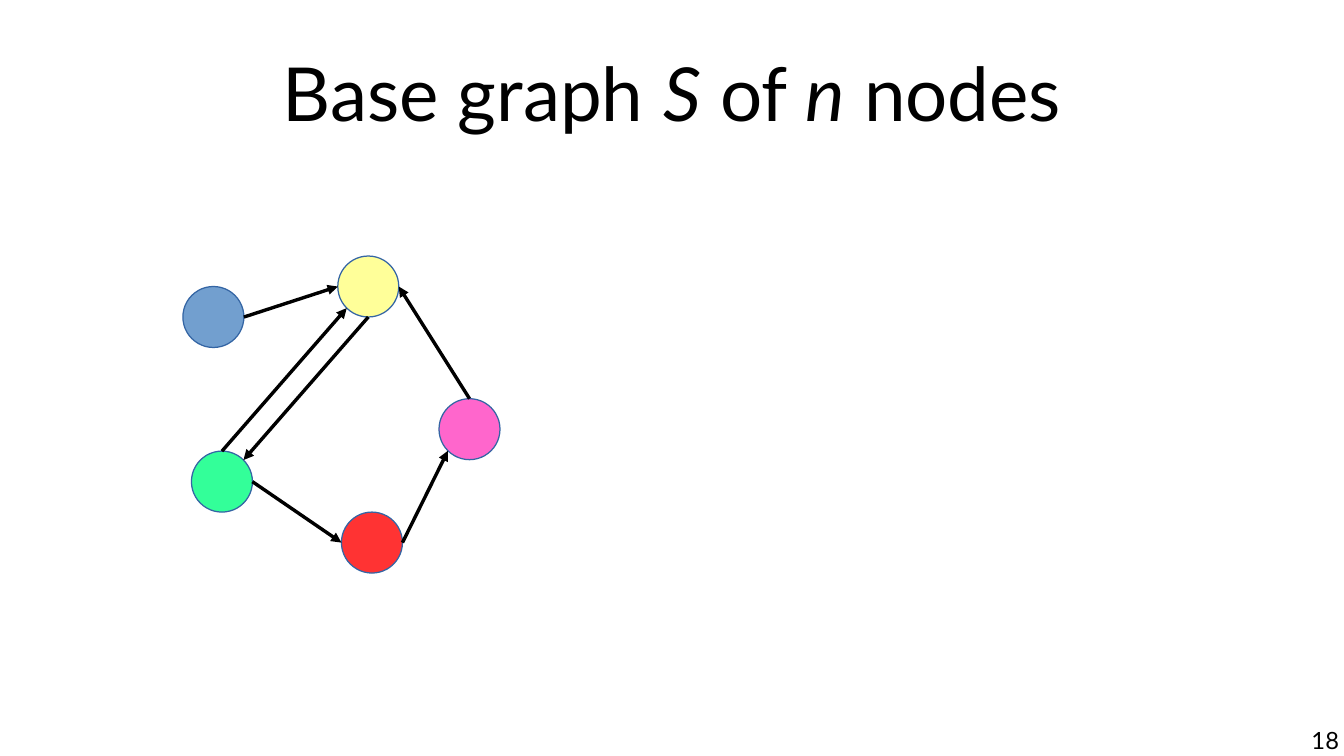
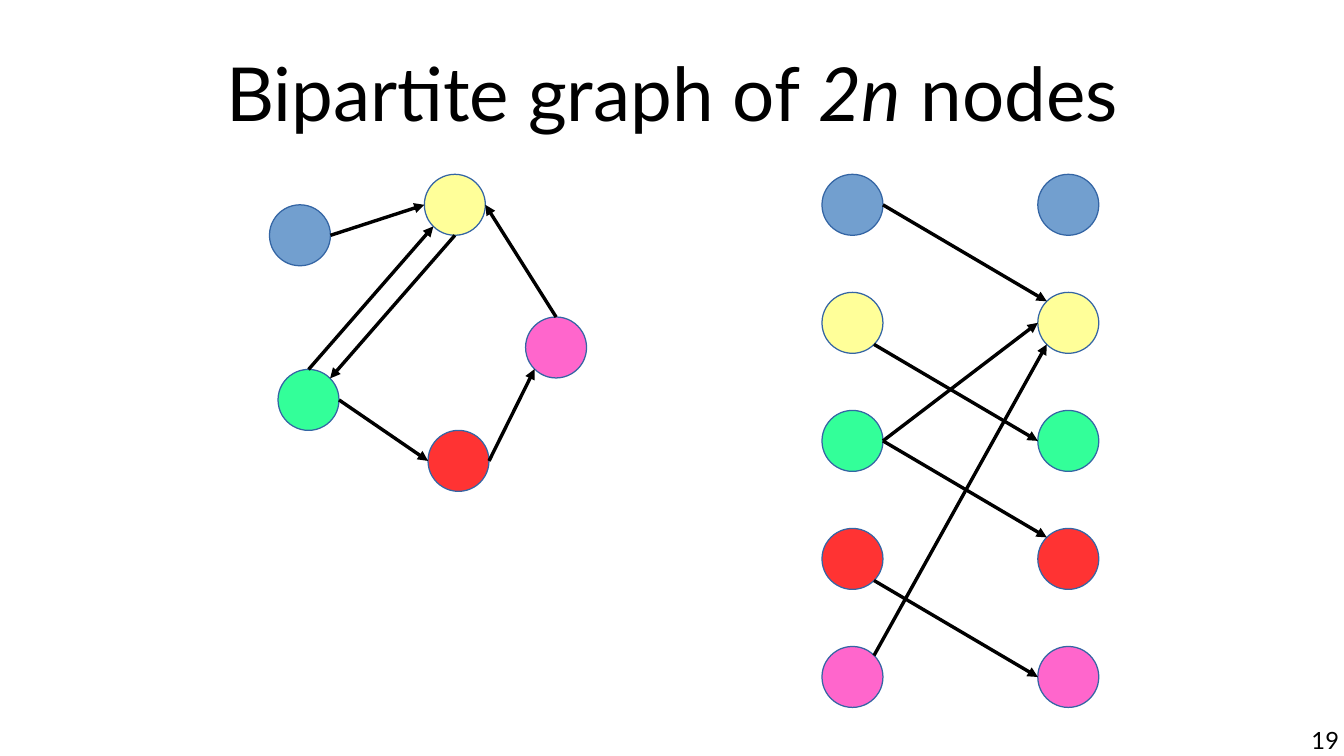
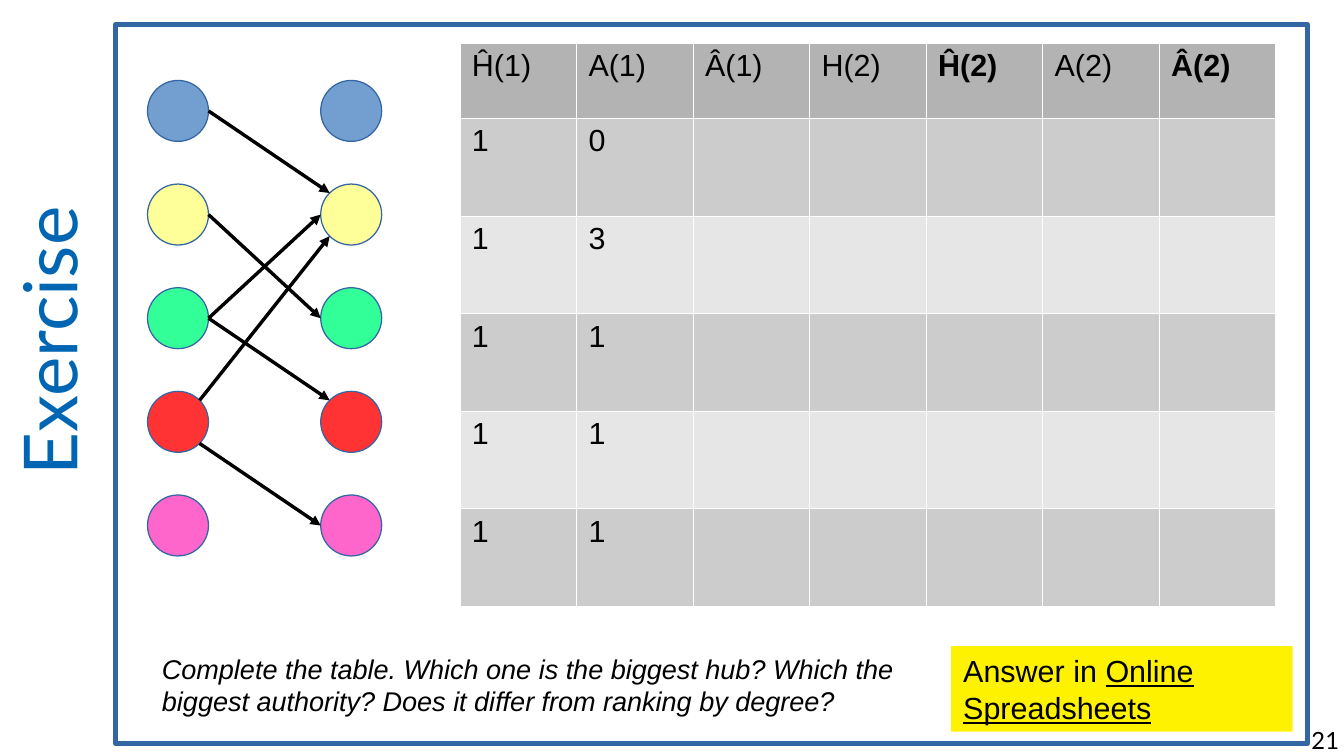
from math import sqrt

from lxml.etree import SubElement as Sub
from pptx import Presentation
from pptx.dml.color import RGBColor
from pptx.enum.shapes import MSO_CONNECTOR as Link, MSO_SHAPE as Kind
from pptx.enum.text import MSO_ANCHOR as Anchor, PP_ALIGN as Align
from pptx.oxml.ns import qn
from pptx.util import Inches, Pt

NODES = {"blue": "729FCF", "yellow": "FFFF99", "green": "33FF99",
         "red": "FF3333", "pink": "FF66CC"}
SIZE = 5
HALF = SIZE / 2
DIAG = HALF / sqrt(2)
SIDES = {"n": (0, -HALF), "s": (0, HALF), "w": (-HALF, 0), "e": (HALF, 0),
         "nw": (-DIAG, -DIAG), "ne": (DIAG, -DIAG),
         "sw": (-DIAG, DIAG), "se": (DIAG, DIAG)}


def cell(count):
    return Inches(count / 10)


def paint(part, color):
    part.solid()
    part.fore_color.rgb = RGBColor.from_string(color)


class Deck:
    """Builds slides on a grid of tenths of an inch, in one shared style."""

    edge, ink, head, body = "3465A4", "000000", "Lato", "Arial"

    def __init__(self, width, height):
        self.prs = Presentation()
        self.prs.slide_width, self.prs.slide_height = cell(width), cell(height)

    def page(self, num):
        self.slide = self.prs.slides.add_slide(self.prs.slide_layouts[6])
        self.label((84.1, 59.5, 25.7, 2.5), num, 14, self.head, align=Align.RIGHT)

    def title(self, text, area=(5.5, 0.1, 99.2, 14.9), color=ink, turn=0):
        box = self.label(area, text, 44, self.head, color, Align.CENTER)
        box.text_frame.vertical_anchor = Anchor.MIDDLE
        box.rotation = turn

    def label(self, area, text, size, font, color=ink, align=Align.LEFT, pad=(0, 0)):
        box = self.slide.shapes.add_textbox(*map(cell, area))
        self.letter(box, text, size, font, color, align, pad)
        return box

    def letter(self, box, text, size, font, color=ink, align=Align.LEFT,
               pad=(1, 0.5), under=False):
        frame = box.text_frame
        frame.word_wrap = True
        frame.vertical_anchor = Anchor.TOP
        frame.margin_left = frame.margin_right = cell(pad[0])
        frame.margin_top = frame.margin_bottom = cell(pad[1])
        para = frame.paragraphs[0]
        para.alignment = align
        self.style(para.font, size, font, color)
        for spot, part in enumerate(text.split("|")):
            if part:
                run = para.add_run()
                run.text = part
                if spot % 2 and under:
                    run.font.underline = True
                elif spot % 2:
                    run.font.italic = True

    def style(self, face, size, font, color):
        face.size, face.name = Pt(size), font
        face.color.rgb = RGBColor.from_string(color)

    def shape(self, kind, area, fill=None, line=None, width=0):
        box = self.slide.shapes.add_shape(kind, *map(cell, area))
        box.shadow.inherit = False
        if fill:
            paint(box.fill, fill)
        else:
            box.fill.background()
        if line:
            paint(box.line.fill, line)
            box.line.width = Pt(width)
        else:
            box.line.fill.background()
        return box

    def arrow(self, start, end):
        ends = [cell(mid + step) for (spot, side) in (start, end)
                for mid, step in zip(spot, SIDES[side])]
        link = self.slide.shapes.add_connector(Link.STRAIGHT, *ends)
        paint(link.line.fill, self.ink)
        link.line.width = Pt(0)
        props = link._element.spPr
        Sub(props.find(qn("a:ln")), qn("a:tailEnd"), type="triangle")
        Sub(props, qn("a:effectLst"))

    def graph(self, spots, links):
        for (name, _), (x, y) in spots.items():
            self.shape(Kind.OVAL, (x - HALF, y - HALF, SIZE, SIZE), NODES[name], self.edge)
        for start, out, end, into in links:
            self.arrow((spots[start, 0], out), (spots.get((end, 1), spots[end, 0]), into))

    def base(self, left, top):
        spots = {"blue": (0, 2.5), "yellow": (12.7, 0), "green": (0.7, 16),
                 "red": (13, 21), "pink": (21, 11.7)}
        self.graph({(name, 0): (left + x, top + y) for name, (x, y) in spots.items()},
                   [("blue", "e", "yellow", "w"), ("yellow", "s", "green", "ne"),
                    ("green", "n", "yellow", "sw"), ("green", "e", "red", "w"),
                    ("red", "e", "pink", "sw"), ("pink", "n", "yellow", "e")])

    def pairs(self, left, top, gap, step, extra):
        spots = {(name, col): (left + col * gap, top + row * step)
                 for col in range(2) for row, name in enumerate(NODES)}
        self.graph(spots, [("blue", "e", "yellow", "nw"), ("green", "e", "yellow", "w"),
                           ("green", "e", "red", "nw"), ("red", "se", "pink", "w")] + extra)

    def table(self, area, rows, first, bold):
        grid = self.slide.shapes.add_table(len(rows), len(rows[0]), *map(cell, area)).table
        rest = (area[3] - first) / (len(rows) - 1)
        for col in grid.columns:
            col.width = cell(area[2] / len(rows[0]))
        for num, (row, texts) in enumerate(zip(grid.rows, rows)):
            row.height = cell(rest if num else first)
            tone = ("E6E6E6" if num % 2 == 0 else "CCCCCC") if num else "B3B3B3"
            for box, text in zip(row.cells, texts):
                box.text = text
                face = box.text_frame.paragraphs[0].font
                self.style(face, 18, self.body, self.ink)
                face.bold = text in bold
                self.border(box)
                paint(box.fill, tone)

    def border(self, box):
        props = box._tc.get_or_add_tcPr()
        for side in ("lnL", "lnR", "lnT", "lnB"):
            line = Sub(props, qn("a:" + side), w=str(Pt(0.06)))
            Sub(Sub(line, qn("a:solidFill")), qn("a:srgbClr"), val="FFFFFF")


def main():
    deck = Deck(110.2, 62)

    deck.page("18")
    deck.title("Base graph |S| of |n| nodes")
    deck.base(17.5, 23.5)

    deck.page("19")
    deck.title("Bipartite graph of |2n| nodes")
    deck.base(24.6, 16.8)
    deck.pairs(69.9, 16.8, 17.7, 9.68,
               [("yellow", "se", "green", "w"), ("pink", "ne", "yellow", "sw")])

    deck.page("21")
    deck.title("Exercise", (-14.1, 23.8, 36, 8.3), "0066B3", 270)
    deck.pairs(14.6, 9.1, 14.2, 8.5,
               [("yellow", "e", "green", "w"), ("red", "ne", "yellow", "sw")])
    heads = ["Ĥ(1)", "A(1)", "Â(1)", "H(2)", "Ĥ(2)", "A(2)", "Â(2)"]
    rows = [["1", score] + [""] * 5 for score in "03111"]
    deck.table((37.7, 3.5, 66.9, 46.2), [heads] + rows, 6.2, ("Ĥ(2)", "Â(2)"))
    deck.shape(Kind.RECTANGLE, (9.5, 2, 97.7, 59), line=deck.edge, width=2.89)
    note = deck.shape(Kind.RECTANGLE, (78, 53, 28, 7), "FFF200")
    deck.letter(note, "Answer in |Online Spreadsheets", 18, deck.body, under=True)
    deck.label((12.3, 53, 62.7, 6.9),
               "|Complete the table. Which one is the biggest hub? Which the biggest "
               "authority? Does it differ from ranking by degree?",
               16, deck.body, pad=(1, 0.5))

    deck.prs.save("out.pptx")


if __name__ == "__main__":
    main()
